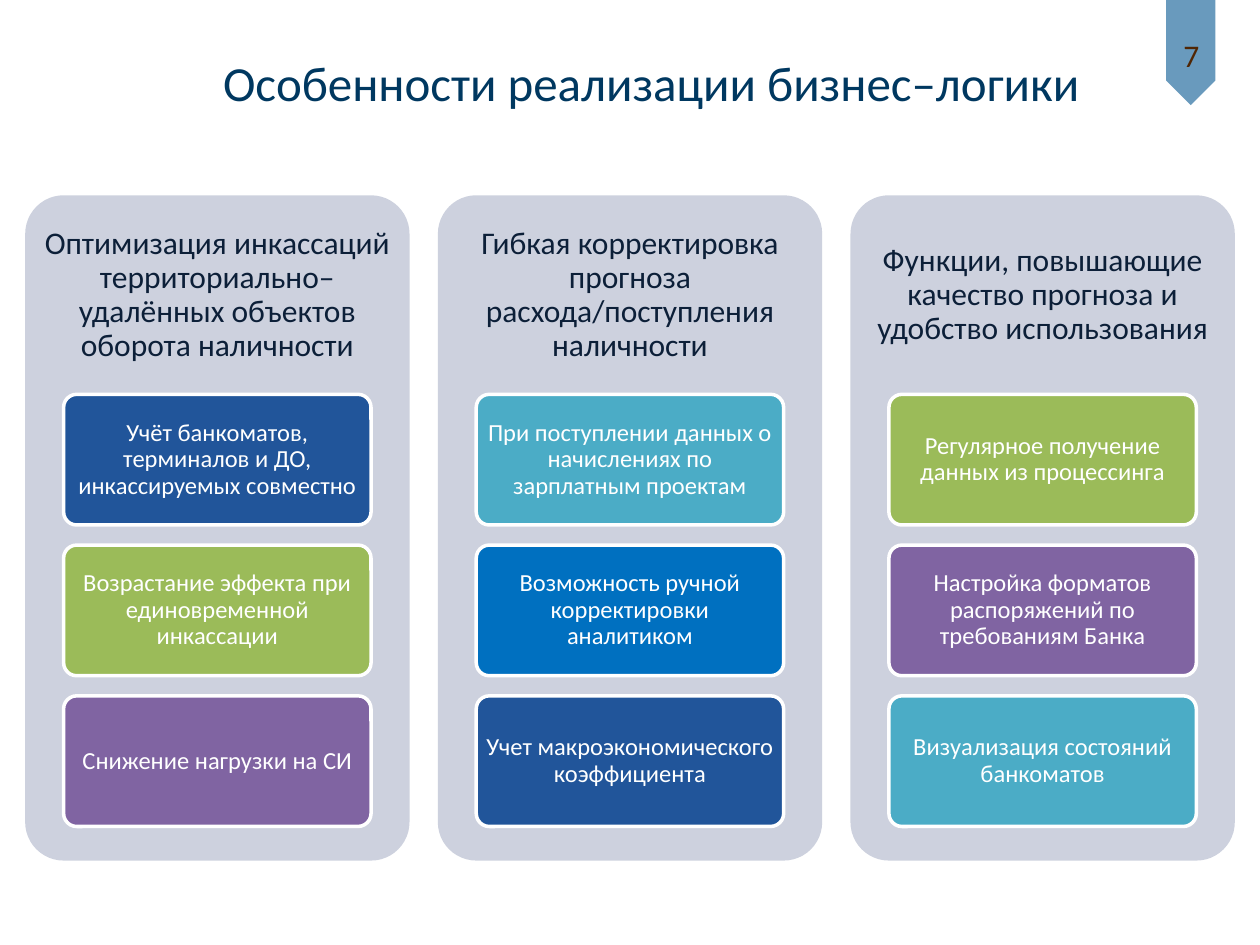
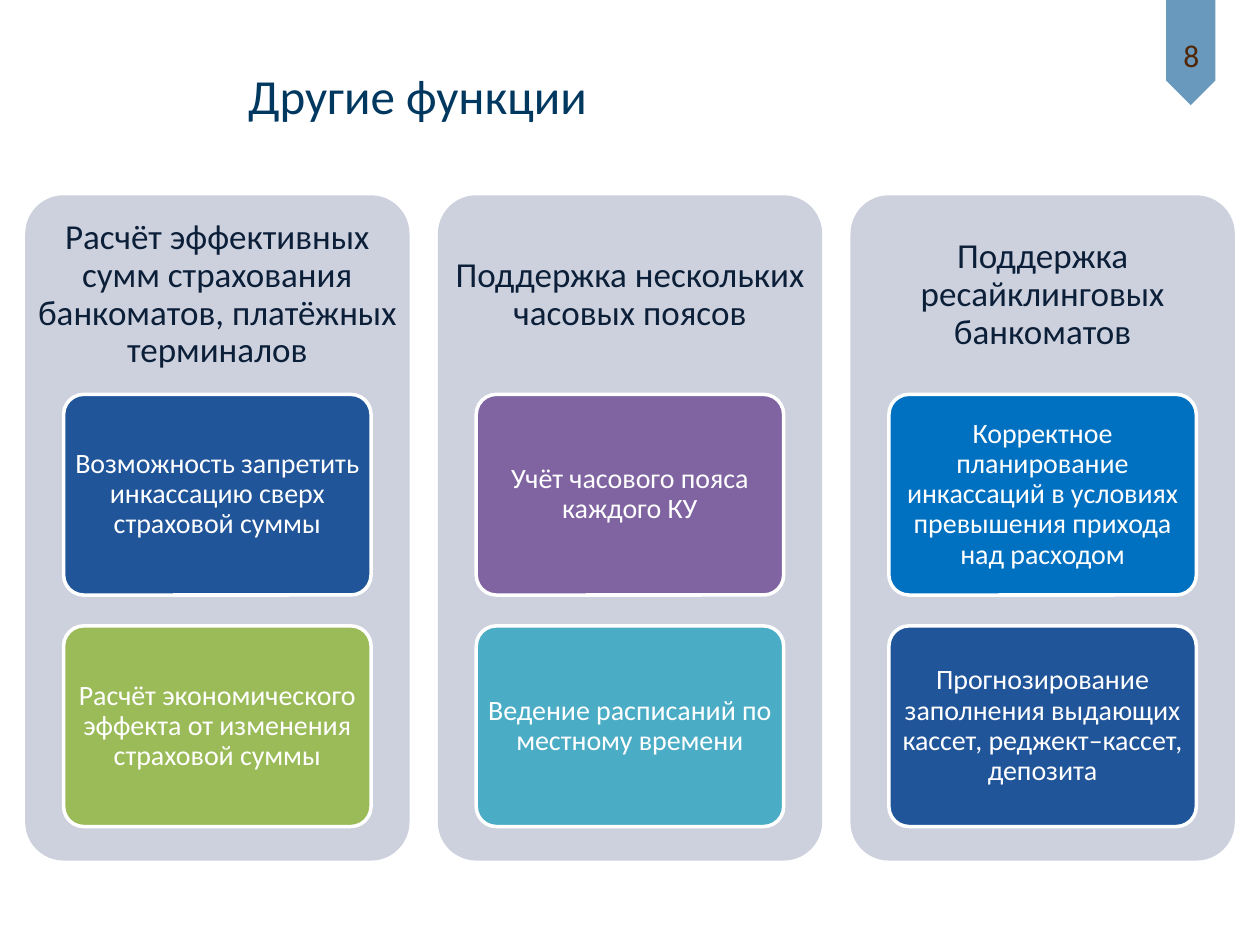
from dataclasses import dataclass
from itertools import cycle

from lxml import etree
from pptx import Presentation
from pptx.dml.color import RGBColor
from pptx.enum.shapes import MSO_SHAPE
from pptx.enum.text import MSO_ANCHOR, MSO_AUTO_SIZE, PP_ALIGN
from pptx.oxml.ns import qn
from pptx.util import Inches, Pt

ROUNDED = MSO_SHAPE.ROUNDED_RECTANGLE
PENTAGON = MSO_SHAPE.PENTAGON
TOP, MIDDLE = MSO_ANCHOR.TOP, MSO_ANCHOR.MIDDLE
LEFT, CENTER = PP_ALIGN.LEFT, PP_ALIGN.CENTER
NO_AUTOFIT = MSO_AUTO_SIZE.NONE
TITLE_ONLY = 5


@dataclass(frozen=True)
class Theme:
    font: str = "Calibri"
    title: str = "003860"
    heading: str = "0C1F38"
    number: str = "502604"
    ribbon: str = "005490"
    ribbon_opacity: int = 59
    panel: str = "CDD1DE"
    white: str = "FFFFFF"
    boxes: tuple = ("21559A", "9BBB59", "8064A2", "4BACC6", "0070C0")
    title_size: int = 28
    number_size: int = 18


# Column grid, in inches
SIDE, PANEL_TOP, PANEL_WIDTH, PANEL_HEIGHT = 0.2, 1.55, 3.05, 5.28
HEADING_HEIGHT = 1.58
BOX_TOP, BOX_AREA = 3.13, 3.43
GAP_RATIO = 2 / 13  # gap between boxes relative to box height


class Deck:
    """Holds the theme and the current slide."""

    def __init__(self, theme):
        self.theme = theme
        self.presentation = Presentation()
        self.presentation.slide_width = Inches(10)
        self.presentation.slide_height = Inches(7.5)
        self.slide = None

    def new_slide(self, number):
        layout = self.presentation.slide_layouts[TITLE_ONLY]
        self.slide = self.presentation.slides.add_slide(layout)
        self.ribbon()
        self.text_box(9.26, 0.24, 0.39, 0.4, str(number),
                      self.theme.number_size, self.theme.number,
                      margins=(0.1, 0.05), anchor=TOP, spacing=1)

    def fill_text(self, shape, text, size, color, margins,
                  align=CENTER, anchor=MIDDLE, spacing=0.9):
        """Margins are (sides, top and bottom) or (left, top, right, bottom)."""
        frame = shape.text_frame
        frame.word_wrap = True
        frame.auto_size = NO_AUTOFIT
        frame.vertical_anchor = anchor
        if len(margins) == 2:
            margins = margins * 2
        (frame.margin_left, frame.margin_top,
         frame.margin_right, frame.margin_bottom) = map(Inches, margins)
        paragraph = frame.paragraphs[0]
        paragraph.alignment = align
        paragraph.line_spacing = spacing
        run = paragraph.add_run()
        run.text = text
        run.font.name = self.theme.font
        run.font.size = Pt(size)
        run.font.color.rgb = RGBColor.from_string(color)

    def title(self, text, left, top, width, height):
        shape = self.slide.shapes.title
        shape.left, shape.top = Inches(left), Inches(top)
        shape.width, shape.height = Inches(width), Inches(height)
        self.fill_text(shape, text, self.theme.title_size, self.theme.title,
                       margins=(1.97, 0.05, 0.39, 0.05), align=LEFT, spacing=1)

    def text_box(self, left, top, width, height, text, size, color, **style):
        shape = self.slide.shapes.add_textbox(
            Inches(left), Inches(top), Inches(width), Inches(height))
        self.fill_text(shape, text, size, color, **style)

    def block(self, kind, left, top, width, height, fill, line=None):
        shape = self.slide.shapes.add_shape(
            kind, Inches(left), Inches(top), Inches(width), Inches(height))
        shape.shadow.inherit = False
        shape.fill.solid()
        shape.fill.fore_color.rgb = RGBColor.from_string(fill)
        if line:
            shape.line.color.rgb = RGBColor.from_string(line)
            shape.line.width = Pt(2)
        else:
            shape.line.fill.background()
        if kind == ROUNDED:
            shape.adjustments[0] = 0.1
        return shape

    def ribbon(self):
        shape = self.block(PENTAGON, 9.03, 0.22, 0.84, 0.39, self.theme.ribbon)
        shape.rotation = 90
        color = shape.element.find(".//" + qn("a:srgbClr"))
        alpha = etree.SubElement(color, qn("a:alpha"))
        alpha.set("val", str(self.theme.ribbon_opacity * 1000))

    def columns(self, columns, heading_size, box_size):
        """Equal panels, each with a heading and a stack of boxes."""
        theme = self.theme
        colors = cycle(theme.boxes)
        pitch = (10 - 2 * SIDE - PANEL_WIDTH) / (len(columns) - 1)
        heading_margin = heading_size / 250
        for column, (heading, labels) in enumerate(columns):
            left = SIDE + column * pitch
            self.block(ROUNDED, left, PANEL_TOP, PANEL_WIDTH, PANEL_HEIGHT,
                       theme.panel)
            self.text_box(left, PANEL_TOP, PANEL_WIDTH, HEADING_HEIGHT,
                          heading, heading_size, theme.heading,
                          margins=(heading_margin, heading_margin))
            count = len(labels)
            height = BOX_AREA / (count + (count - 1) * GAP_RATIO)
            for row, label in enumerate(labels):
                box = self.block(ROUNDED, left + 0.1 * PANEL_WIDTH,
                                 BOX_TOP + row * height * (1 + GAP_RATIO),
                                 0.8 * PANEL_WIDTH, height,
                                 next(colors), theme.white)
                self.fill_text(box, label, box_size, theme.white,
                               margins=(0.04, 0.03))


BUSINESS_LOGIC = [
    ("Оптимизация инкассаций территориально– удалённых объектов оборота наличности",
     ["Учёт банкоматов, терминалов и ДО, инкассируемых совместно",
      "Возрастание эффекта при единовременной инкассации",
      "Снижение нагрузки на СИ"]),
    ("Гибкая корректировка прогноза расхода/поступления наличности",
     ["При поступлении данных о начислениях по зарплатным проектам",
      "Возможность ручной корректировки аналитиком",
      "Учет макроэкономического коэффициента"]),
    ("Функции, повышающие качество прогноза и удобство использования",
     ["Регулярное получение данных из процессинга",
      "Настройка форматов распоряжений по требованиям Банка",
      "Визуализация состояний банкоматов"]),
]

OTHER_FUNCTIONS = [
    ("Расчёт эффективных сумм страхования банкоматов, платёжных терминалов",
     ["Возможность запретить инкассацию сверх страховой суммы",
      "Расчёт экономического эффекта от изменения страховой суммы"]),
    ("Поддержка нескольких часовых поясов",
     ["Учёт часового пояса каждого КУ",
      "Ведение расписаний по местному времени"]),
    ("Поддержка ресайклинговых банкоматов",
     ["Корректное планирование инкассаций в условиях превышения прихода над расходом",
      "Прогнозирование заполнения выдающих кассет, реджект–кассет, депозита"]),
]


def main():
    deck = Deck(Theme())

    # Business logic
    deck.new_slide(7)
    deck.title("Особенности реализации бизнес–логики", -0.2, 0, 10.2, 1.3)
    deck.columns(BUSINESS_LOGIC, heading_size=18, box_size=14)

    # Other functions
    deck.new_slide(8)
    deck.title("Другие функции", 0, 0.21, 10, 1.09)
    deck.columns(OTHER_FUNCTIONS, heading_size=20, box_size=16)

    deck.presentation.save("out.pptx")


if __name__ == "__main__":
    main()
